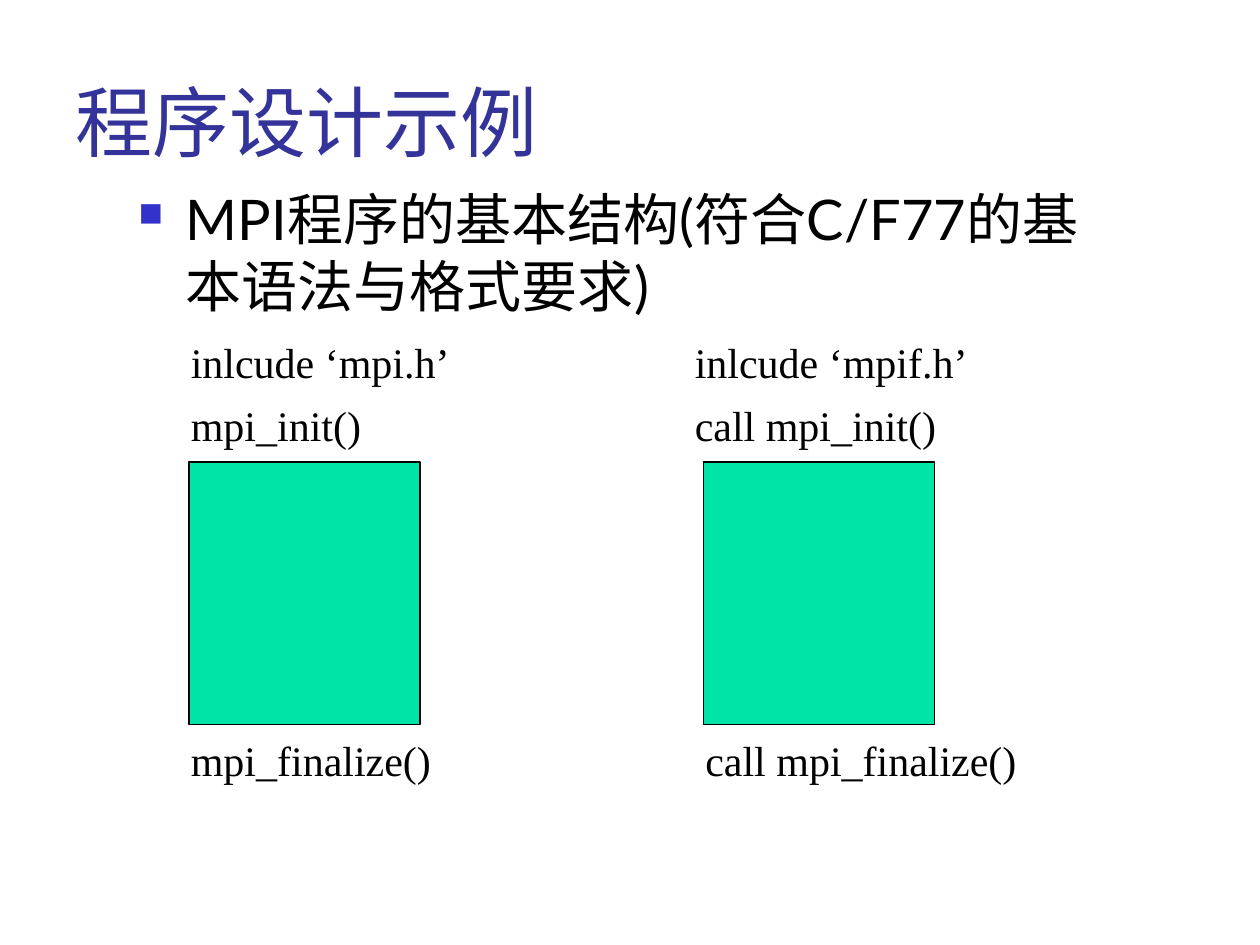
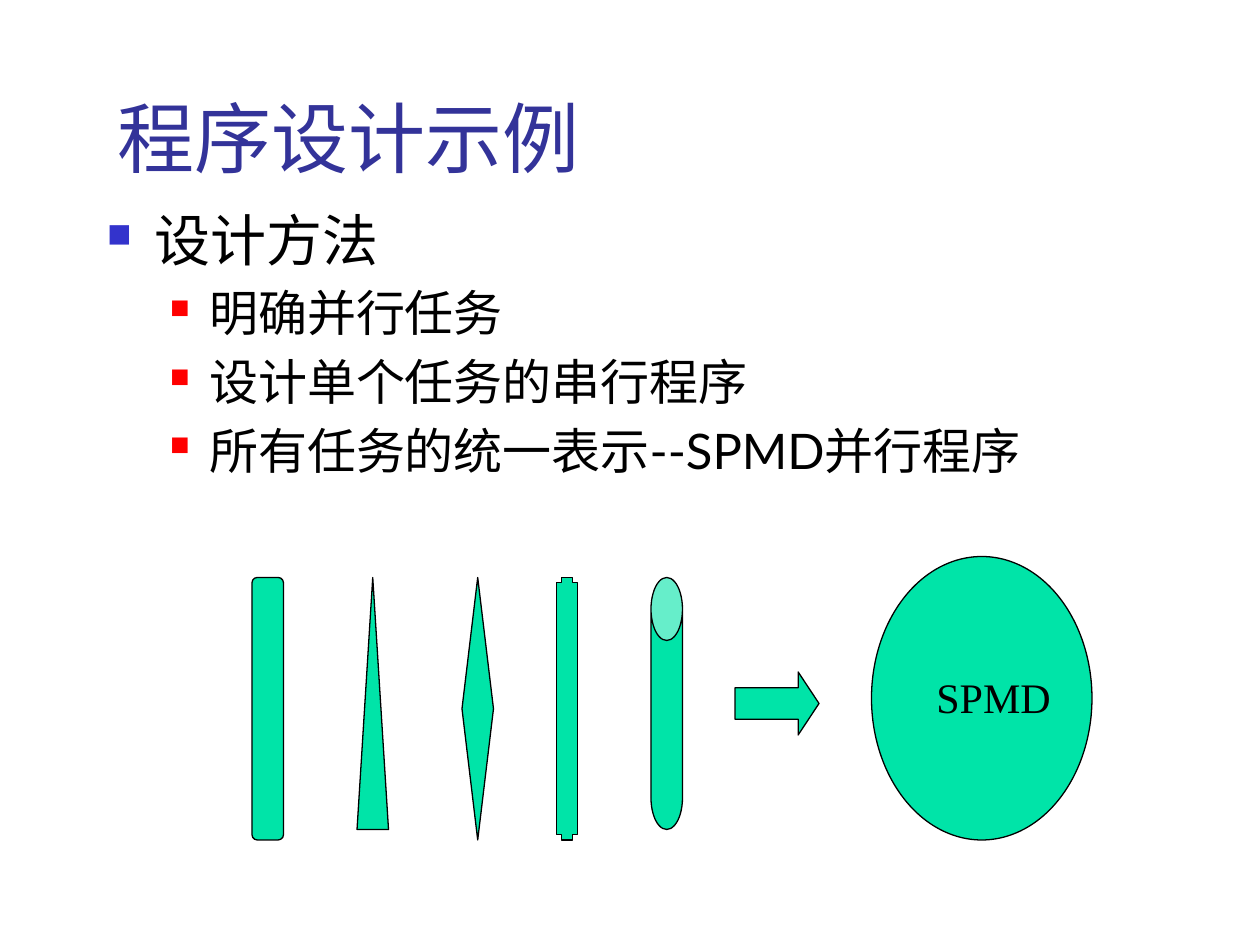
from pptx import Presentation
from pptx.dml.color import RGBColor
from pptx.enum.shapes import MSO_SHAPE
from pptx.enum.text import MSO_ANCHOR, PP_ALIGN
from pptx.oxml import parse_xml
from pptx.oxml.ns import nsdecls, qn
from pptx.util import Pt

NAVY = RGBColor(0x33, 0x33, 0x99)
BLUE = RGBColor(0x33, 0x33, 0xCC)
RED = RGBColor(0xFF, 0x00, 0x00)
GREEN = RGBColor(0x00, 0xE4, 0xA8)
BLACK = RGBColor(0x00, 0x00, 0x00)
SANS, SERIF = "Lato", "Times New Roman"
LEVELS = [(32, 27, 27, BLUE, 60), (28, 58.5, 22.5, RED, 55)]


def write(para, text, size, face, color):
    para.text = text
    font = para.font
    font.size, font.name = Pt(size), face
    font.color.rgb = color
    base = para._p.pPr.find(qn("a:defRPr"))
    base.append(parse_xml(f'<a:ea {nsdecls("a")} typeface="{face}"/>'))
    return base


def draw(slide, kind, box, adjust=()):
    shape = slide.shapes.add_shape(kind, *map(Pt, box))
    shape.shadow.inherit = False
    shape.fill.solid()
    shape.fill.fore_color.rgb = GREEN
    shape.line.color.rgb = BLACK
    shape.line.width = Pt(0.75)
    for i, value in enumerate(adjust):
        shape.adjustments[i] = value


deck = Presentation()
deck.slide_width, deck.slide_height = Pt(720), Pt(540)

pages = [
    ((36, 30, 612, 78), (72, 102, 582, 78),
     [(0, "MPI程序的基本结构(符合C/F77的基本语法与格式要求)")],
     [("inlcude ‘mpi.h’", 102, 186, 174),
      ("mpi_init()", 102, 222, 174),
      ("mpi_finalize()", 102, 414, 174),
      ("inlcude ‘mpif.h’", 390, 186, 174),
      ("call mpi_init()", 390, 222, 174),
      ("call mpi_finalize()", 396, 414, 222)],
     [(MSO_SHAPE.RECTANGLE, (left, 264, 132, 150), ()) for left in (108, 402)]),
    ((60, 48, 612, 60), (54, 114, 612, 324),
     [(0, "设计方法"),
      (1, "明确并行任务"),
      (1, "设计单个任务的串行程序"),
      (1, "所有任务的统一表示--SPMD并行程序")],
     [("SPMD", 528, 378, 126)],
     [(MSO_SHAPE.ROUNDED_RECTANGLE, (144, 330, 18, 150), (0.17,)),
      (MSO_SHAPE.ISOSCELES_TRIANGLE, (204, 330, 18, 144), (0.5,)),
      (MSO_SHAPE.DIAMOND, (264, 330, 18, 150), ()),
      (MSO_SHAPE.CROSS, (318, 330, 12, 150), (0.25,)),
      (MSO_SHAPE.CAN, (372, 330, 18, 144), (2,)),
      (MSO_SHAPE.RIGHT_ARROW, (420, 384, 48, 36), (0.5, 0.33)),
      (MSO_SHAPE.OVAL, (498, 318, 126, 162), ())]),
]

for head, body, points, labels, shapes in pages:
    slide = deck.slides.add_slide(deck.slide_layouts[5])
    title = slide.shapes.title
    title.left, title.top, title.width, title.height = map(Pt, head)
    title.text_frame.vertical_anchor = MSO_ANCHOR.MIDDLE
    para = title.text_frame.paragraphs[0]
    write(para, "程序设计示例", 44, SANS, NAVY)
    para.alignment = PP_ALIGN.LEFT

    frame = slide.shapes.add_textbox(*map(Pt, body)).text_frame
    frame.word_wrap = True
    for i, (level, text) in enumerate(points):
        size, left, hang, color, scale = LEVELS[level]
        para = frame.add_paragraph() if i else frame.paragraphs[0]
        base = write(para, text, size, SANS, BLACK)
        para.level = level
        para.space_before = Pt(size * 0.2 if i else 0)
        para._p.pPr.set("marL", str(Pt(left)))
        para._p.pPr.set("indent", str(-Pt(hang)))
        for mark in (f'<a:buClr {nsdecls("a")}><a:srgbClr val="{color}"/></a:buClr>',
                     f'<a:buSzPct {nsdecls("a")} val="{scale * 1000}"/>',
                     f'<a:buChar {nsdecls("a")} char="■"/>'):
            base.addprevious(parse_xml(mark))

    for kind, box, adjust in shapes:
        draw(slide, kind, box, adjust)

    for text, left, top, width in labels:
        frame = slide.shapes.add_textbox(Pt(left), Pt(top), Pt(width), Pt(36)).text_frame
        frame.word_wrap = True
        frame.margin_top = Pt(6)
        write(frame.paragraphs[0], text, 24, SERIF, BLACK)

deck.save("out.pptx")
